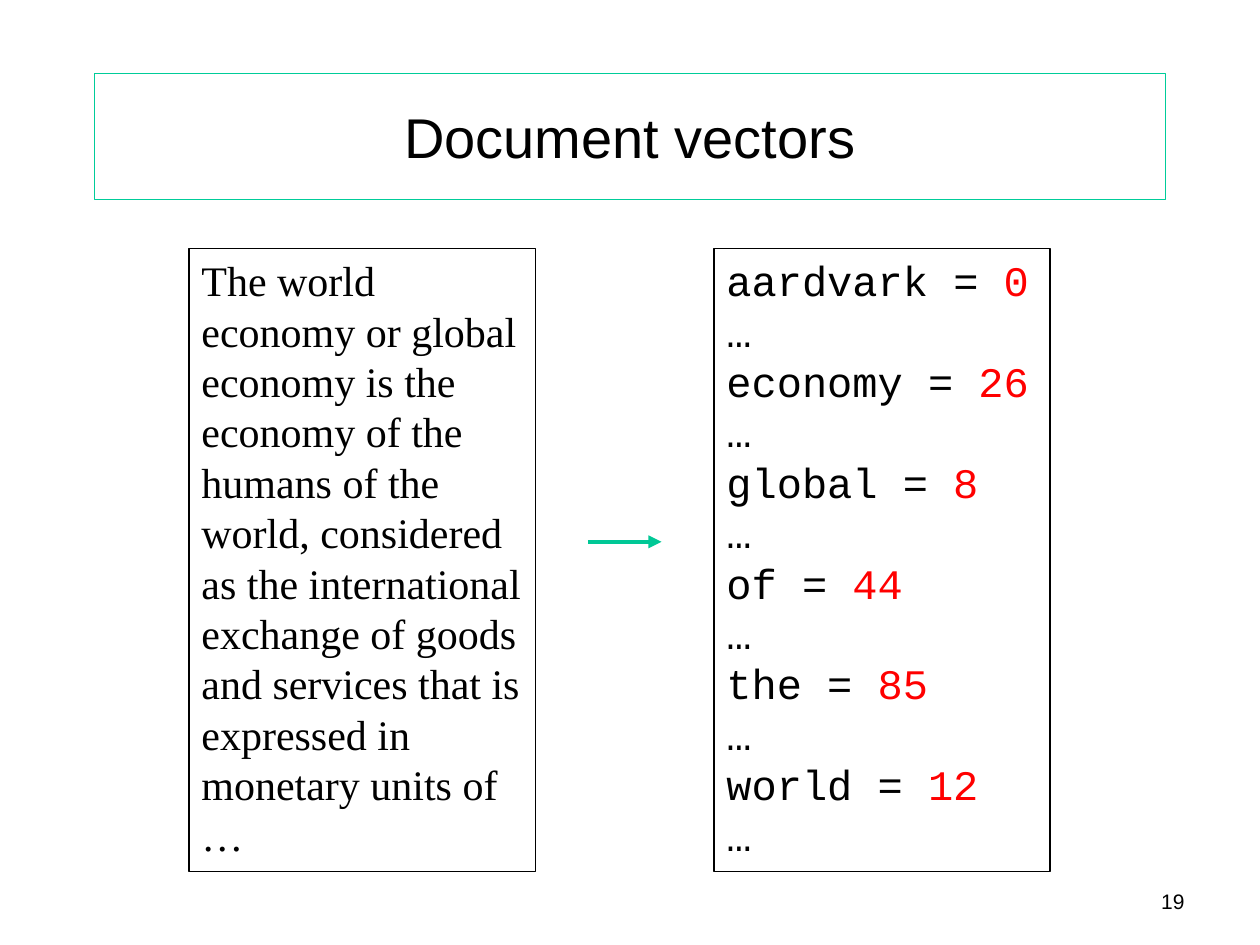
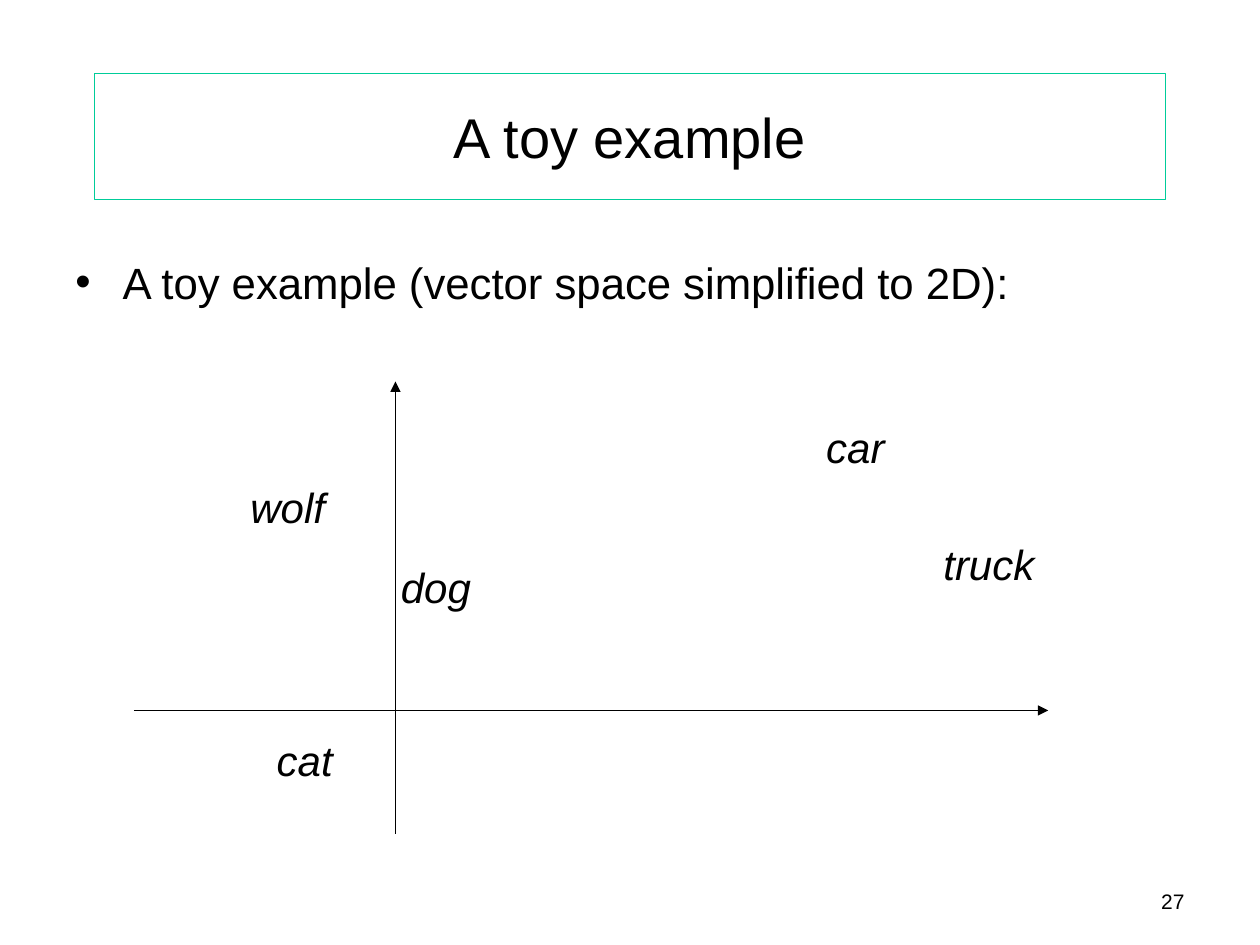
from dataclasses import dataclass
from lxml import etree
from pptx import Presentation
from pptx.dml.color import RGBColor as RGB
from pptx.enum.shapes import MSO_CONNECTOR as LINE
from pptx.enum.text import MSO_ANCHOR as ANCHOR, PP_ALIGN as ALIGN
from pptx.oxml.ns import qn
from pptx.util import Pt


@dataclass(frozen=True)
class Theme:
    black: RGB = RGB(0, 0, 0)
    red: RGB = RGB(255, 0, 0)
    green: RGB = RGB(0, 0xCC, 0x99)
    arrow: RGB = RGB(0, 0xC8, 0x96)
    sans: str = "Arial"
    serif: str = "Times New Roman"
    mono: str = "Courier New"
    head: int = 32
    lead: int = 25
    text: int = 24
    foot: int = 12
    pitch: float = 28.8


theme = Theme()


def style(run, size=theme.text, face=theme.sans, color=theme.black):
    run.font.size = Pt(size)
    run.font.name = face
    run.font.color.rgb = color


def arrow(slide, x1, y1, x2, y2, color, width):
    """Draw a line with a triangle at its second end."""
    line = slide.shapes.add_connector(LINE.STRAIGHT, Pt(x1), Pt(y1), Pt(x2), Pt(y2))
    line.line.color.rgb = color
    line.line.width = Pt(width)
    etree.SubElement(line.line._get_or_add_ln(), qn("a:tailEnd"), type="triangle")
    etree.SubElement(line._element.spPr, qn("a:effectLst"))


deck = Presentation()
deck.slide_width, deck.slide_height = Pt(720), Pt(540)

# Titles and page numbers
slides = []
for name, page in (("Document vectors", "19"), ("A toy example", "27")):
    slide = deck.slides.add_slide(deck.slide_layouts[5])
    slides.append(slide)
    title = slide.shapes.title
    title.left, title.top, title.width, title.height = Pt(54), Pt(42), Pt(612), Pt(72)
    title.line.color.rgb = theme.green
    title.line.width = Pt(0.75)
    title.text_frame.text = name
    title.text_frame.vertical_anchor = ANCHOR.MIDDLE
    para = title.text_frame.paragraphs[0]
    para.alignment = ALIGN.CENTER
    style(para.runs[0], theme.head)

    foot = slide.shapes.add_textbox(Pt(648), Pt(504), Pt(36), Pt(24))
    foot.text_frame.word_wrap = True
    foot.text_frame.text = page
    para = foot.text_frame.paragraphs[0]
    para.alignment = ALIGN.RIGHT
    style(para.runs[0], theme.foot)

vectors, toy = slides

# Document and its word counts
prose = (
    "The world economy or global economy is the economy of the humans of the "
    "world, considered as the international exchange of goods and services "
    "that is expressed in monetary units of"
)
counts = {"aardvark": 0, "economy": 26, "global": 8, "of": 44, "the": 85, "world": 12}
rows = []
for word, count in counts.items():
    rows += [(f"{word} = ", str(count)), ("…",)]

for left, width, face, lines in (
    (108, 198, theme.serif, [(prose,), ("…",)]),
    (408, 192, theme.mono, rows),
):
    box = vectors.shapes.add_textbox(Pt(left), Pt(142), Pt(width), Pt(356))
    box.line.color.rgb = theme.black
    box.line.width = Pt(0.75)
    frame = box.text_frame
    frame.word_wrap = True
    frame.text = "\n".join(parts[0] for parts in lines)
    for para, parts in zip(frame.paragraphs, lines):
        para.line_spacing = Pt(theme.pitch)
        style(para.runs[0], face=face)
        for value in parts[1:]:
            run = para.add_run()
            run.text = value
            style(run, face=face, color=theme.red)

arrow(vectors, 336, 309.6, 378, 309.6, theme.arrow, 2.5)

# Bulleted lead line
lead = toy.shapes.add_textbox(Pt(36), Pt(142.5), Pt(648), Pt(37.5))
lead.text_frame.word_wrap = True
lead.text_frame.text = "A toy example (vector space simplified to 2D):"
para = lead.text_frame.paragraphs[0]
style(para.runs[0], theme.lead)
props = para._p.get_or_add_pPr()
props.set("marL", str(Pt(27)))
props.set("indent", str(-Pt(27)))
etree.SubElement(props, qn("a:buFont"), typeface=theme.sans)
etree.SubElement(props, qn("a:buChar"), char="•")

# Axes and words in the plane
arrow(toy, 226, 476.5, 226, 218, theme.black, 1)
arrow(toy, 76.5, 406, 599, 406, theme.black, 1)
for word, left, top, width in (
    ("dog", 222, 317.5, 82),
    ("wolf", 136, 271.5, 82),
    ("cat", 151, 416, 82),
    ("car", 465, 237.5, 82),
    ("truck", 532, 304, 108),
):
    label = toy.shapes.add_textbox(Pt(left), Pt(top), Pt(width), Pt(60))
    label.text_frame.word_wrap = True
    label.text_frame.text = word
    run = label.text_frame.paragraphs[0].runs[0]
    style(run)
    run.font.italic = True

deck.save("out.pptx")
